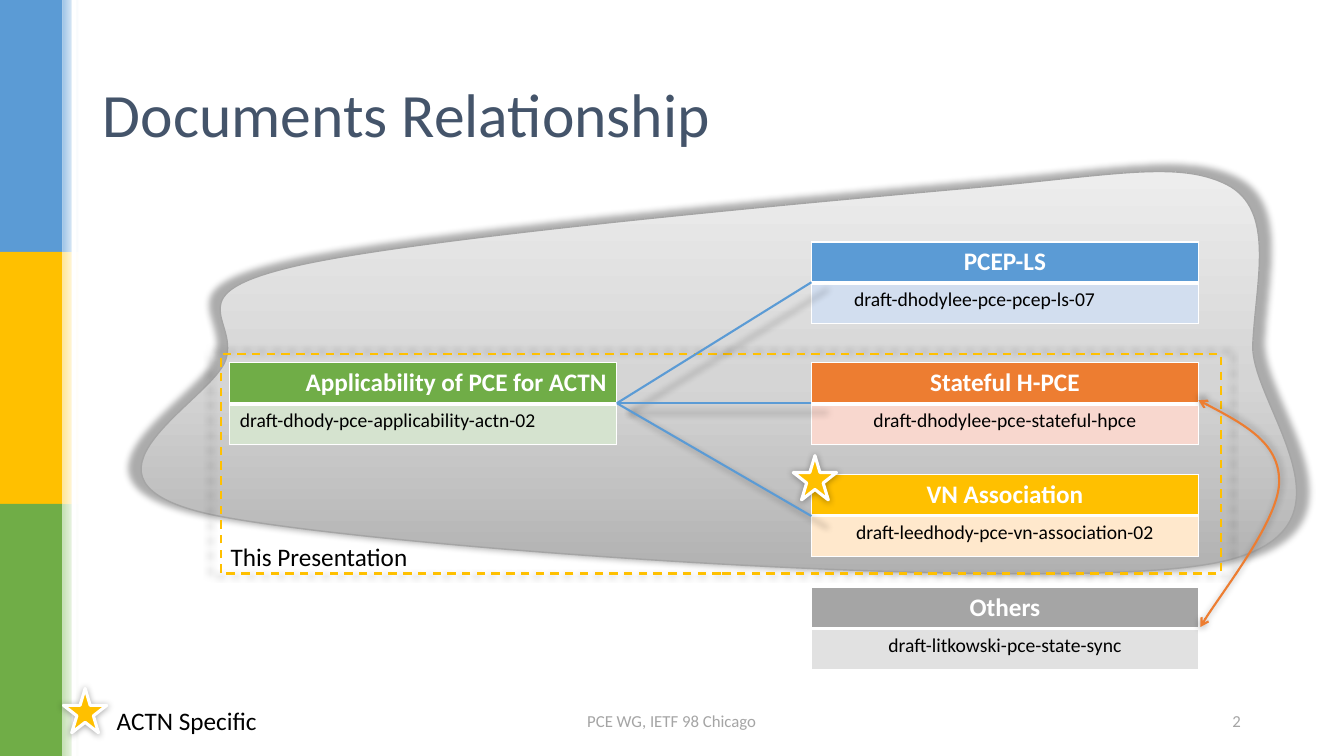
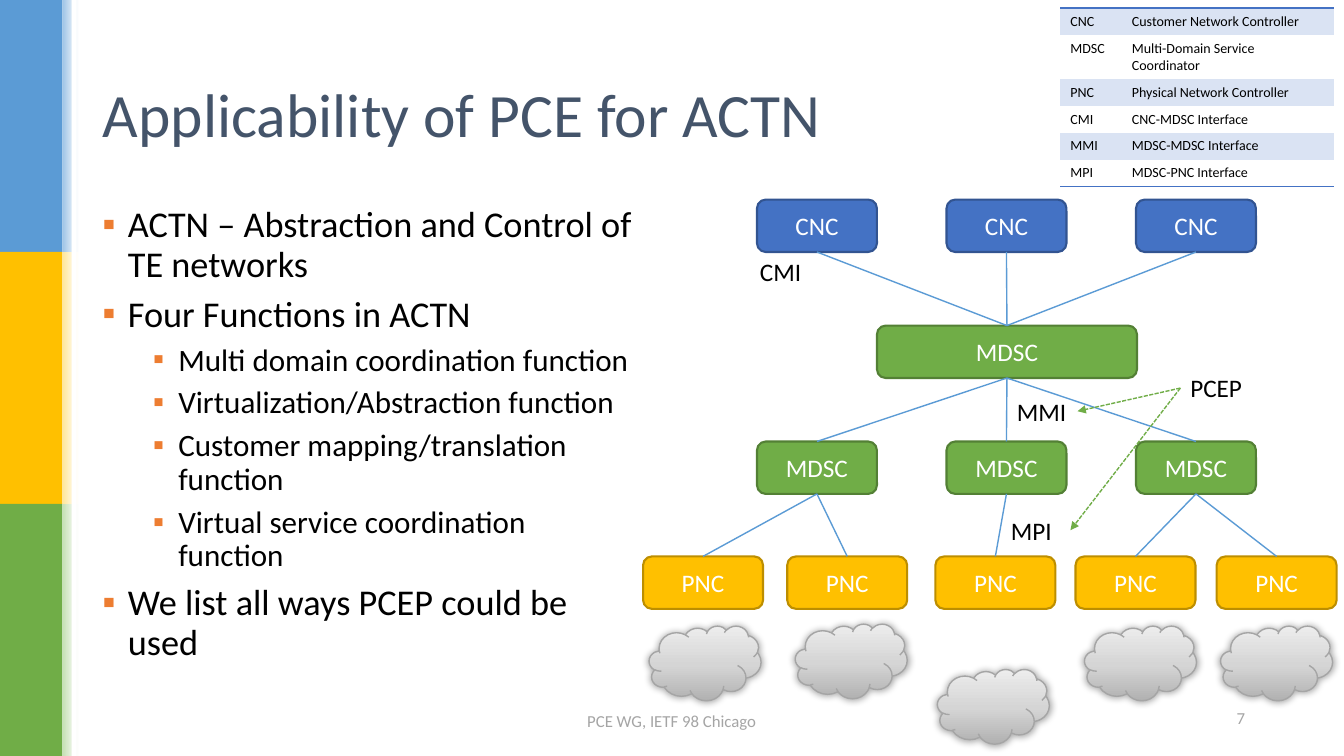
from dataclasses import dataclass

from lxml.etree import SubElement
from pptx import Presentation
from pptx.dml.color import RGBColor
from pptx.enum.dml import MSO_LINE
from pptx.enum.shapes import MSO_CONNECTOR, MSO_SHAPE
from pptx.enum.text import MSO_ANCHOR, PP_ALIGN
from pptx.oxml.ns import qn
from pptx.util import Inches, Pt

# Shared look
FONT = "Calibri"
BLUE, GOLD, GREEN, ORANGE, GREY = "5B9BD5", "FFC000", "70AD47", "ED7D31", "A5A5A5"
NAVY, SLATE, WHITE, BLACK = "4472C4", "44546A", "FFFFFF", "000000"
BANDS = [(BLUE, "9DC3E6"), (GOLD, "FFE699"), (GREEN, "C5E0B4")]
METAL = [(0, "B1B1B1"), (48, "D5D5D5"), (100, "EDEDED")]
FOOTER = "PCE WG, IETF 98 Chicago"
NO_STYLE = "{2D5ABB26-0587-4C30-8999-92F81FD0307C}"
LEFT, CENTER, RIGHT = PP_ALIGN.LEFT, PP_ALIGN.CENTER, PP_ALIGN.RIGHT


@dataclass
class Draft:
    name: str
    draft: str
    color: str
    tint: str
    left: float
    top: float
    name_align: PP_ALIGN = CENTER
    draft_align: PP_ALIGN = CENTER
    right_margin: float = 0.1


@dataclass
class Tier:
    label: str
    color: str
    edge: str
    top: float
    lefts: list
    width: float = 1.19


@dataclass
class Curve:
    box: tuple
    start: tuple
    bends: list  # (control, control, end) triples
    closed: bool = False


DRAFTS = [
    Draft("PCEP-LS", "draft-dhodylee-pce-pcep-ls-07", BLUE, "D2DEEF", 8.05, 2.4, right_margin=0.7),
    Draft("Stateful H-PCE", "draft-dhodylee-pce-stateful-hpce", ORANGE, "F8D7CE", 8.05, 3.6),
    Draft("VN Association", "draft-leedhody-pce-vn-association-02", GOLD, "FFE8CC", 8.05, 4.71),
    Draft("Others", "draft-litkowski-pce-state-sync", GREY, "E1E1E1", 8.05, 5.83),
    Draft("Applicability of PCE for ACTN", "draft-dhody-pce-applicability-actn-02",
          GREEN, "D5E3CF", 2.28, 3.6, RIGHT, LEFT),
]
COLUMNS = [7.51 + 1.88 * i for i in range(3)]
TIERS = [
    Tier("CNC", NAVY, "325491", 1.98, COLUMNS),
    Tier("MDSC", GREEN, "538035", 3.23, [8.7], 2.58),
    Tier("MDSC", GREEN, "538035", 4.38, COLUMNS),
    Tier("PNC", GOLD, "BD8E00", 5.52, [6.38, 7.81, 9.28, 10.67, 12.07]),
]
# (upper tier, upper box, lower tier, lower box)
LINKS = ([(0, i, 1, 0) for i in range(3)] + [(1, 0, 2, i) for i in range(3)]
         + [(2, up, 3, low) for low, up in enumerate([0, 0, 1, 2, 2])])
CLOUDS = [(6.44, 6.21), (7.89, 6.19), (9.3, 6.64), (10.76, 6.21), (12.11, 6.21)]
BULLETS = [
    (0, "ACTN – Abstraction and Control of TE networks"),
    (0, "Four Functions in ACTN"),
    (1, "Multi domain coordination function"),
    (1, "Virtualization/Abstraction function"),
    (1, "Customer mapping/translation function"),
    (1, "Virtual service coordination function"),
    (0, "We list all ways PCEP could be used"),
]
GLOSSARY = [
    ("CNC", "Customer Network Controller"),
    ("MDSC", "Multi-Domain Service Coordinator"),
    ("PNC", "Physical Network Controller"),
    ("CMI", "CNC-MDSC Interface"),
    ("MMI", "MDSC-MDSC Interface"),
    ("MPI", "MDSC-PNC Interface"),
]
BLOB = Curve((1.4, 1.7, 11.46, 4), (2.24, 3.57), [
    ((2.37, 3.16), (1.73, 2.92), (2.93, 2.64)), ((4.14, 2.36), (7.92, 2.02), (9.46, 1.88)),
    ((11, 1.75), (11.67, 1.58), (12.17, 1.83)), ((12.66, 2.08), (12.46, 2.78), (12.43, 3.41)),
    ((12.39, 4.03), (13.69, 5.32), (11.97, 5.6)), ((10.25, 5.89), (3.74, 5.44), (2.12, 5.11)),
    ((0.5, 4.77), (2.1, 3.98), (2.24, 3.57))], closed=True)
SYNC = Curve((11.89, 3.97, 0.8, 2.24), (11.89, 3.97), [
    ((12.29, 4.18), (12.69, 4.39), (12.69, 4.77)), ((12.7, 5.14), (12.04, 5.98), (11.91, 6.22))])


def rgb(color: str) -> RGBColor:
    return RGBColor.from_string(color)


def apply(obj, **values) -> None:
    for name, value in values.items():
        setattr(obj, name, value)


def node(parent, tag: str, **attrs):
    return SubElement(parent, qn(tag), {k: str(v) for k, v in attrs.items()})


def write(tf, text: str, size: float, color: str = BLACK, align=LEFT, bold: bool = False,
          first: bool = True):
    p = tf.paragraphs[0] if first else tf.add_paragraph()
    p.alignment = align
    r = p.add_run()
    r.text = text
    apply(r.font, size=Pt(size), name=FONT, bold=bold)
    r.font.color.rgb = rgb(color)
    return p


def add_text(slide, box: tuple, text: str, size: float = 18, color: str = BLACK, align=LEFT,
             anchor=MSO_ANCHOR.TOP) -> None:
    tf = slide.shapes.add_textbox(*map(Inches, box)).text_frame
    apply(tf, word_wrap=True, vertical_anchor=anchor)
    write(tf, text, size, color, align)


def gradient(s, stops: list, angle: int) -> None:
    s.fill.gradient()
    grad = s.element.spPr.find(qn("a:gradFill"))
    for child in list(grad):
        grad.remove(child)
    gs_list = node(grad, "a:gsLst")
    for pos, color in stops:
        node(node(gs_list, "a:gs", pos=pos * 1000), "a:srgbClr", val=color)
    node(grad, "a:lin", ang=angle * 60000, scaled=0)


def effects(s, shadow: bool) -> None:
    """Replace the theme effect by a soft shadow or by none; call after fill and line."""
    effect_list = node(s.element.spPr, "a:effectLst")
    if shadow:
        sh = node(effect_list, "a:outerShdw", blurRad=63500, dist=12700, dir=5400000,
                  sx=102000, sy=102000, rotWithShape=0)
        node(node(sh, "a:srgbClr", val=BLACK), "a:alpha", val=32000)


def stroke(s, color: str, width: float, dash=None) -> None:
    if not color:
        s.line.fill.background()
        return
    s.line.color.rgb = rgb(color)
    apply(s.line, width=Pt(width), dash_style=dash)


def style(s, fill=None, line: str = "", width: float = 1, dash=None, shadow: bool = False):
    if isinstance(fill, list):
        gradient(s, fill, 270 if fill is METAL else 0)
    elif fill:
        s.fill.solid()
        s.fill.fore_color.rgb = rgb(fill)
    else:
        s.fill.background()
    stroke(s, line, width, dash)
    effects(s, shadow)
    return s


def add_shape(slide, kind, box: tuple, fill=None, **look):
    return style(slide.shapes.add_shape(kind, *map(Inches, box)), fill, **look)


def add_line(slide, start: tuple, end: tuple, color: str = BLUE, width: float = 1, dash=None,
             shadow: bool = False):
    s = slide.shapes.add_connector(MSO_CONNECTOR.STRAIGHT, *map(Inches, start + end))
    stroke(s, color, width, dash)
    effects(s, shadow)
    return s


def add_arrowheads(s, kind: str, *ends: str) -> None:
    for end in ends:
        node(s.element.spPr.find(qn("a:ln")), f"a:{end}", type=kind)


def add_curve(slide, curve: Curve, **look):
    """Build a freeform over the frame, then bend its outline into Bezier segments."""
    x, y, w, h = map(Inches, curve.box)
    builder = slide.shapes.build_freeform(x, y, 1.0)
    builder.add_line_segments([(x + w, y), (x + w, y + h), (x, y + h)], close=curve.closed)
    s = builder.convert_to_shape()
    outline = next(s.element.iter(qn("a:path")))
    for child in list(outline):
        outline.remove(child)
    for tag, points in [("a:moveTo", [curve.start])] + [("a:cubicBezTo", b) for b in curve.bends]:
        step = node(outline, tag)
        for px, py in points:
            node(step, "a:pt", x=Inches(px) - x, y=Inches(py) - y)
    if curve.closed:
        node(outline, "a:close")
    return style(s, shadow=True, **look)


def add_table(slide, box: tuple, rows: int, cols: int):
    frame = slide.shapes.add_table(rows, cols, *map(Inches, box))
    next(frame.element.iter(qn("a:tableStyleId"))).text = NO_STYLE
    apply(frame.table, first_row=False, horz_banding=False)
    return frame.table


def fill_cell(cell, text: str, size: float, fill: str, borders: dict, **text_look) -> None:
    write(cell.text_frame, text, size, **text_look)
    if fill:
        cell.fill.solid()
        cell.fill.fore_color.rgb = rgb(fill)
    else:
        cell.fill.background()
    tc_pr = cell._tc.get_or_add_tcPr()
    for i, (side, (color, width)) in enumerate(borders.items()):
        ln = node(tc_pr, f"a:ln{side}", w=Pt(width))
        node(node(ln, "a:solidFill"), "a:srgbClr", val=color)
        tc_pr.insert(i, ln)


def add_bands(slide) -> None:
    """Draw the side bands and move them to the layout, behind all else."""
    rect, height = MSO_SHAPE.RECTANGLE, 2.5
    parts = []
    for i, (color, tint) in enumerate(BANDS):
        parts.append(add_shape(slide, rect, (0, height * i, 0.62, height), color))
        parts.append(add_shape(slide, rect, (0.62, height * i, 0.16, height),
                               [(0, tint), (100, WHITE)]))
    parts.append(add_shape(slide, rect, (0.71, 0, 0.05, 7.5), WHITE))
    for i, s in enumerate(parts):
        slide.slide_layout.shapes.element.insert(2 + i, s.element)


def add_slide(prs, title: str, number: str, number_at: tuple):
    slide = prs.slides.add_slide(prs.slide_layouts[5])
    s = slide.shapes.title
    apply(s, left=Inches(0.92), top=Inches(0.39), width=Inches(11.5), height=Inches(1.45))
    apply(s.text_frame, word_wrap=True, vertical_anchor=MSO_ANCHOR.MIDDLE)
    write(s.text_frame, title, 44, SLATE)
    for box, text, align in [((5.08, 6.95, 3.17, 0.4), FOOTER, CENTER),
                             ((*number_at, 3.58, 0.4), number, RIGHT)]:
        add_text(slide, box, text, 12, GREY, align, MSO_ANCHOR.MIDDLE)
    return slide


def build_relationship(prs) -> None:
    slide = add_slide(prs, "Documents Relationship", "2", (8.83, 6.95))
    add_bands(slide)
    add_curve(slide, BLOB, fill=METAL, line=GREY)

    # Draft cards
    edges = {side: (WHITE, 1) for side in "LRTB"}
    for d in DRAFTS:
        table = add_table(slide, (d.left, d.top, 3.84, 0.81), 2, 1)
        head, body = table.cell(0, 0), table.cell(1, 0)
        fill_cell(head, d.name, 18, d.color, {**edges, "B": (WHITE, 3)},
                  color=WHITE, align=d.name_align, bold=True)
        fill_cell(body, d.draft, 14, d.tint, {**edges, "T": (WHITE, 3)}, align=d.draft_align)
        body.margin_right = Inches(d.right_margin)

    # Scope frame, stars and captions
    add_shape(slide, MSO_SHAPE.RECTANGLE, (2.19, 3.51, 9.92, 2.18), line=GOLD, width=1.5,
              dash=MSO_LINE.DASH, shadow=True)
    add_text(slide, (2.19, 5.32, 3.76, 0.4), "This Presentation")
    add_text(slide, (1.06, 6.95, 2, 0.4), "ACTN Specific")
    for at in [(7.87, 4.52), (0.63, 6.83)]:
        add_shape(slide, MSO_SHAPE.STAR_5_POINT, (*at, 0.43, 0.44), GOLD, line=WHITE,
                  width=2.25, shadow=True)

    # Relations
    for y in (2.8, 4, 5.12):
        add_line(slide, (6.12, 4), (8.05, y), width=1.5, shadow=True)
    s = add_curve(slide, SYNC, line=ORANGE, width=1.5)
    add_arrowheads(s, "arrow", "headEnd", "tailEnd")


def build_applicability(prs) -> None:
    slide = add_slide(prs, "Applicability of PCE for ACTN", "7", (8.87, 6.92))

    # Bullets
    tf = slide.shapes.add_textbox(*map(Inches, (0.92, 2, 5.48, 4.76))).text_frame
    tf.word_wrap = True
    for i, (level, text) in enumerate(BULLETS):
        size = (25.9, 22.2)[level]
        p = write(tf, text, size, first=i == 0)
        apply(p, level=level, line_spacing=0.9, space_before=Pt(0.3 * size))
        p_pr = p._p.get_or_add_pPr()
        p_pr.set("marL", str(Inches(0.25 + 0.5 * level)))
        p_pr.set("indent", str(Inches(-0.25)))
        node(node(p_pr, "a:buClr"), "a:srgbClr", val=ORANGE)
        node(p_pr, "a:buFont", typeface=FONT)
        node(p_pr, "a:buChar", char="▪")

    # Controller hierarchy
    boxes = []
    for t in TIERS:
        boxes.append([add_shape(slide, MSO_SHAPE.ROUNDED_RECTANGLE, (x, t.top, t.width, 0.52),
                                t.color, line=t.edge, width=1.5) for x in t.lefts])
        for s in boxes[-1]:
            s.text_frame.vertical_anchor = MSO_ANCHOR.MIDDLE
            write(s.text_frame, t.label, 18, WHITE, CENTER)
    for up_tier, up, low_tier, low in LINKS:
        s = add_line(slide, (0, 0), (1, 1))
        s.begin_connect(boxes[up_tier][up], 2)
        s.end_connect(boxes[low_tier][low], 0)

    # Interface labels and PCEP arrows
    for x, y, w, text in [(7.44, 2.49, 0.69, "CMI"), (9.99, 3.88, 0.69, "MMI"),
                          (9.93, 5.06, 0.69, "MPI"), (11.71, 3.64, 0.91, "PCEP")]:
        add_text(slide, (x, y, w, 0.4), text)
    for end in [(10.69, 4.08), (10.62, 5.26)]:
        s = add_line(slide, (11.71, 3.85), end, GREEN, dash=MSO_LINE.SQUARE_DOT)
        add_arrowheads(s, "triangle", "tailEnd")

    for at in CLOUDS:
        add_shape(slide, MSO_SHAPE.CLOUD, (*at, 1.11, 0.74), METAL, line=GREY, shadow=True)

    # Glossary
    table = add_table(slide, (10.52, 0.08, 2.71, 1.77), len(GLOSSARY), 2)
    for col, width in zip(table.columns, (0.61, 2.1)):
        col.width = Inches(width)
    rules = {0: {"T": (NAVY, 1)}, len(GLOSSARY) - 1: {"B": (NAVY, 1)}}
    for i, entry in enumerate(GLOSSARY):
        table.rows[i].height = Inches(0.41 if i == 1 else 0.26)
        for j, text in enumerate(entry):
            fill_cell(table.cell(i, j), text, 10, "" if i % 2 else "DAE3F3", rules.get(i, {}))


def main() -> None:
    prs = Presentation()
    apply(prs, slide_width=Inches(40 / 3), slide_height=Inches(7.5))
    build_relationship(prs)
    build_applicability(prs)
    prs.save("out.pptx")


if __name__ == "__main__":
    main()
